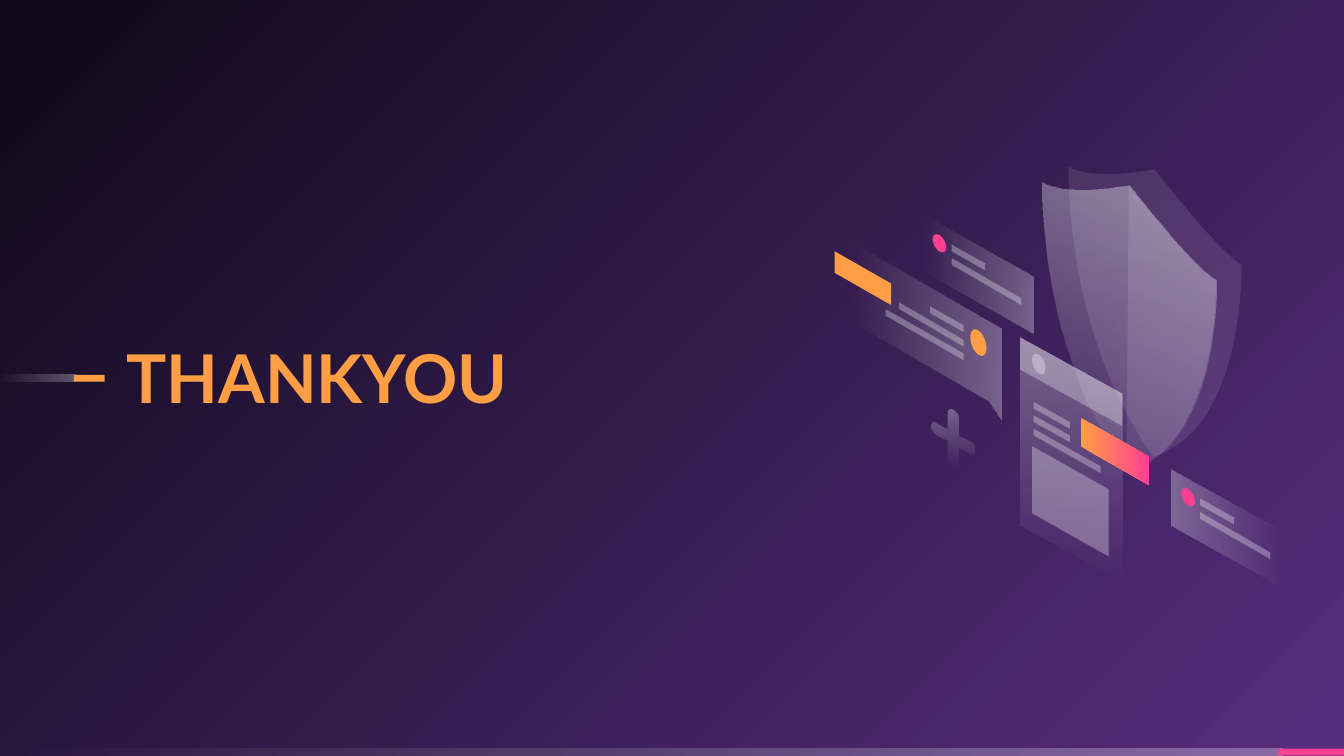
from dataclasses import dataclass
from math import cos, pi, sin

from lxml import etree
from pptx import Presentation
from pptx.dml.color import RGBColor
from pptx.enum import shapes, text
from pptx.oxml.ns import nsdecls, qn
from pptx.util import Inches, Pt


@dataclass(frozen=True)
class Paint:
    """One stop is a solid fill; two stops are a gradient. A stop is (colour, opacity %)."""
    stops: tuple
    angle: int = 0
    radial: bool = False


@dataclass(frozen=True)
class Theme:
    orange: str = "FF9E44"
    pink: str = "FF4093"
    white: str = "FFFFFF"
    violet: str = "572D7E"
    night: str = "0E0918"
    font: str = "Lato"
    title_size: int = 36

    def solid(self, color: str, alpha: int = 100) -> Paint:
        return Paint(((color, alpha),))

    def fade(self, angle: int, alpha: int = 30) -> Paint:
        return Paint(((self.white, alpha), (self.white, 0)), angle)


@dataclass(frozen=True)
class Bar:
    x: float
    y: float
    w: float
    h: float
    paint: Paint


@dataclass(frozen=True)
class Slab:
    """A parallelogram with upright sides whose right side sits lower by drop."""
    x: float
    y: float
    w: float
    drop: float
    h: float
    paint: Paint


@dataclass(frozen=True)
class Dot:
    """A sheared circle."""
    x: float
    y: float
    rx: float
    ry: float
    drop: float
    paint: Paint


@dataclass(frozen=True)
class Outline:
    """Steps of two numbers are lines, steps of six are Bezier curves."""
    start: tuple
    steps: tuple
    paint: Paint
    dx: float = 0
    dy: float = 0


T = Theme()
GLASS = T.solid(T.white, 30)
FAINT = T.solid(T.white, 10)
ORANGE = T.solid(T.orange)
PINK = T.solid(T.pink)

BARS = (
    Bar(0, 5.57, 9.54, 0.05, T.fade(180)),
    Bar(9.51, 5.57, 0.49, 0.05, PINK),
    Bar(0, 2.79, 0.56, 0.05, T.fade(180)),
    Bar(0.55, 2.79, 0.23, 0.05, ORANGE),
)

SHIELD_TOP = (8.4, 1.38)
SHIELD_LEFT = ((8.25, 1.41, 7.91, 1.45, 7.76, 1.36), (7.76, 1.96, 7.9, 2.82, 8.39, 3.52))
SHIELD_RIGHT = ((8.88, 3.37, 9.04, 2.69, 9.05, 2.09), (8.9, 2.01, 8.56, 1.58, 8.4, 1.38))
SHIELD = SHIELD_LEFT + SHIELD_RIGHT
PLUS = (
    (7.11, 3.06, 7.13, 3.09, 7.13, 3.12), (7.13, 3.24), (7.21, 3.28),
    (7.23, 3.29, 7.25, 3.32, 7.25, 3.35), (7.25, 3.38, 7.23, 3.39, 7.21, 3.37),
    (7.13, 3.33), (7.13, 3.45),
    (7.13, 3.47, 7.11, 3.48, 7.09, 3.47), (7.07, 3.46, 7.05, 3.43, 7.05, 3.4),
    (7.05, 3.28), (6.97, 3.24),
    (6.95, 3.23, 6.93, 3.19, 6.93, 3.17), (6.93, 3.14, 6.95, 3.13, 6.97, 3.15),
    (7.05, 3.19), (7.05, 3.07), (7.05, 3.05, 7.07, 3.04, 7.09, 3.05),
)


def card(x: float, y: float, angle: int) -> tuple:
    return (
        Slab(x, y, 0.82, 0.46, 0.42, T.fade(angle)),
        Slab(x + 0.21, y + 0.22, 0.25, 0.14, 0.05, GLASS),
        Slab(x + 0.21, y + 0.32, 0.52, 0.3, 0.05, GLASS),
        Dot(x + 0.12, y + 0.21, 0.05, 0.06, 0.03, PINK),
    )


SHIELDS = (
    Outline(SHIELD_TOP, SHIELD, FAINT, 0.19, -0.12),
    Outline(SHIELD_TOP, SHIELD, T.fade(110, 40)),
    Outline(SHIELD_TOP, ((8.38, 3.52),) + SHIELD_RIGHT, FAINT),
)
WINDOW = (
    Slab(7.59, 2.51, 0.76, 0.42, 1.4, T.fade(90)),
    Slab(7.68, 3.32, 0.57, 0.32, 0.5, GLASS),
    *(Slab(7.69, 2.99 + 0.1 * i, w, drop, 0.05, GLASS)
      for i, (w, drop) in enumerate(((0.27, 0.15), (0.27, 0.15), (0.5, 0.28)))),
    Slab(7.59, 2.51, 0.76, 0.42, 0.24, GLASS),
    Dot(7.73, 2.71, 0.05, 0.07, 0.03, GLASS),
    Slab(8.04, 3.11, 0.51, 0.29, 0.21, Paint(((T.orange, 100), (T.pink, 100)))),
)
BUBBLE = (
    Outline((7.45, 2.45), ((6.33, 1.8), (6.33, 2.39), (7.35, 2.98), (7.45, 3.13)), T.fade(180)),
    Slab(6.21, 1.87, 0.42, 0.24, 0.16, ORANGE),
    Slab(6.92, 2.28, 0.25, 0.14, 0.05, GLASS),
    Slab(6.69, 2.25, 0.48, 0.28, 0.05, GLASS),
    Slab(6.59, 2.3, 0.58, 0.33, 0.05, GLASS),
    Dot(7.28, 2.55, 0.06, 0.09, 0.04, ORANGE),
)
ARTWORK = (card(6.87, 1.6, 180) + card(8.72, 3.49, 0) + SHIELDS + WINDOW + BUBBLE
           + (Outline((7.09, 3.05), PLUS, T.fade(90)),))


def apply_paint(fill, parent, paint: Paint) -> None:
    fill.solid()
    fill.fore_color.rgb = RGBColor.from_string(paint.stops[0][0])
    colors = [f'<a:srgbClr val="{c}"><a:alpha val="{a * 1000}"/></a:srgbClr>' for c, a in paint.stops]
    if len(colors) == 1:
        xml = f'<a:solidFill {nsdecls("a")}>{colors[0]}</a:solidFill>'
    else:
        stops = "".join(f'<a:gs pos="{i * 100000}">{c}</a:gs>' for i, c in enumerate(colors))
        shade = ('<a:path path="circle"><a:fillToRect l="100000" t="100000"/></a:path>'
                 if paint.radial else f'<a:lin ang="{paint.angle * 60000}" scaled="0"/>')
        xml = f'<a:gradFill {nsdecls("a")} rotWithShape="1"><a:gsLst>{stops}</a:gsLst>{shade}</a:gradFill>'
    parent.replace(parent.find(qn("a:solidFill")), etree.fromstring(xml))


def finish(sp, paint: Paint) -> None:
    sp.shadow.inherit = False
    sp.line.fill.background()
    apply_paint(sp.fill, sp._element.spPr, paint)


def curve(p0: tuple, step: tuple, n: int = 16) -> list:
    """Points along a cubic Bezier curve."""
    pts = (p0, step[:2], step[2:4], step[4:])
    return [tuple(sum(k * p[axis] for k, p in zip(
        ((1 - t) ** 3, 3 * t * (1 - t) ** 2, 3 * t * t * (1 - t), t ** 3), pts)) for axis in (0, 1))
        for t in (i / n for i in range(1, n + 1))]


def points_of(item: Slab | Dot | Outline) -> list:
    if isinstance(item, Slab):
        right, low = item.x + item.w, item.y + item.drop
        return [(item.x, item.y), (right, low), (right, low + item.h), (item.x, item.y + item.h)]
    if isinstance(item, Dot):
        angles = [2 * pi * i / 40 for i in range(40)]
        return [(item.x + item.rx * cos(a), item.y + item.ry * sin(a) + item.drop * cos(a))
                for a in angles]
    pts = [item.start]
    for step in item.steps:
        pts += [step] if len(step) == 2 else curve(pts[-1], step)
    return [(x + item.dx, y + item.dy) for x, y in pts]


def draw_art(slide, item: Slab | Dot | Outline) -> None:
    pts = [(Inches(x), Inches(y)) for x, y in points_of(item)]
    builder = slide.shapes.build_freeform(*pts[0])
    builder.add_line_segments(pts[1:], close=True)
    finish(builder.convert_to_shape(), item.paint)


def draw_bar(slide, bar: Bar) -> None:
    box = map(Inches, (bar.x, bar.y, bar.w, bar.h))
    finish(slide.shapes.add_shape(shapes.MSO_SHAPE.RECTANGLE, *box), bar.paint)


def draw_title(slide, words: str) -> None:
    tf = slide.shapes.add_textbox(*map(Inches, (0.94, 1.84, 5.59, 1.27))).text_frame
    frame = dict(word_wrap=True, vertical_anchor=text.MSO_ANCHOR.BOTTOM,
                 margin_left=0, margin_right=0, margin_top=0, margin_bottom=0)
    for name, value in frame.items():
        setattr(tf, name, value)
    p = tf.paragraphs[0]
    p.line_spacing = 0.9
    r = p.add_run()
    r.text = words
    for name, value in dict(name=T.font, size=Pt(T.title_size), bold=True).items():
        setattr(r.font, name, value)
    r.font.color.rgb = RGBColor.from_string(T.orange)


def main() -> None:
    prs = Presentation()
    prs.slide_width, prs.slide_height = Inches(10), Inches(10 * 9 / 16)
    slide = prs.slides.add_slide(prs.slide_layouts[6])
    fill = slide.background.fill
    fill.solid()
    apply_paint(fill, slide._element.find(".//" + qn("p:bgPr")),
                Paint(((T.violet, 100), (T.night, 100)), radial=True))
    for bar in BARS:
        draw_bar(slide, bar)
    draw_title(slide, "THANKYOU")
    for item in ARTWORK:
        draw_art(slide, item)
    prs.save("out.pptx")


if __name__ == "__main__":
    main()
